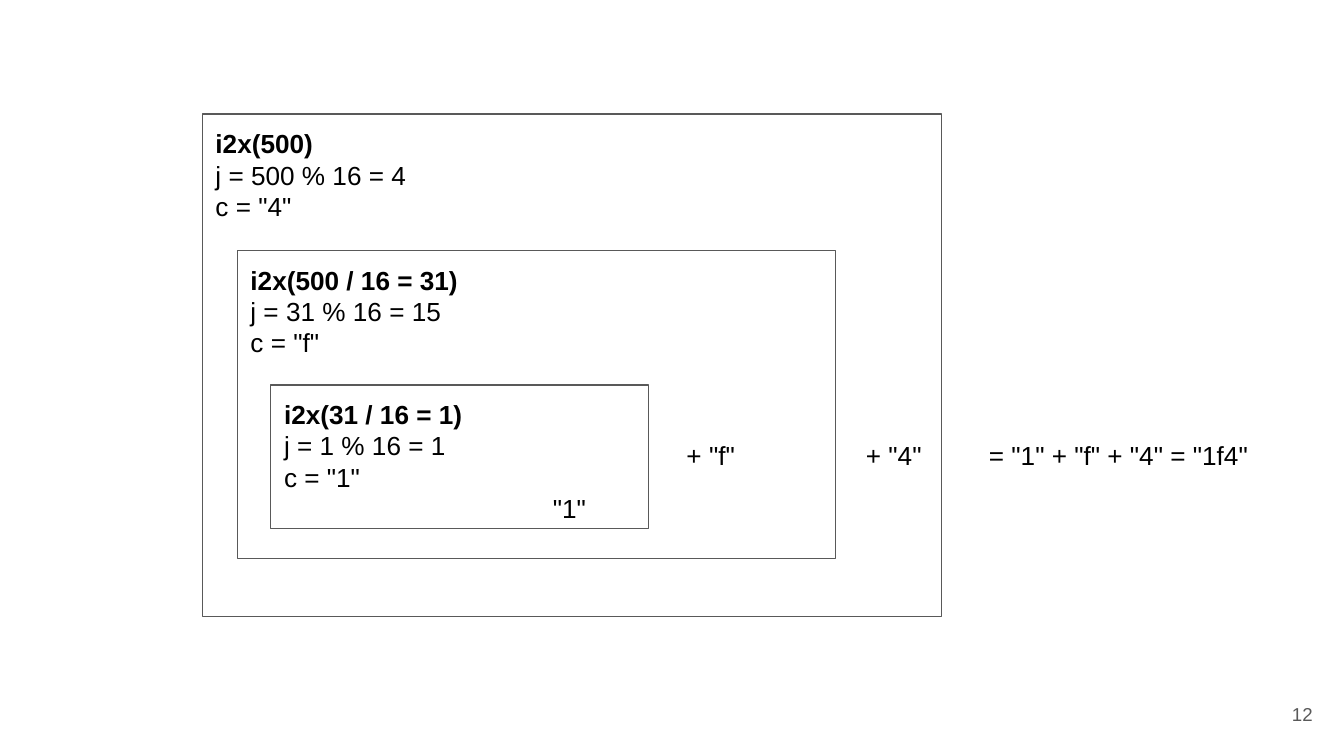
import dataclasses

import lxml.etree
import pptx
import pptx.dml.color
import pptx.enum.shapes
import pptx.enum.text
import pptx.oxml.ns
import pptx.util

PX = 4572  # EMU per px, 200 px to the inch
ALIGN = pptx.enum.text.PP_ALIGN
ANCHOR = pptx.enum.text.MSO_ANCHOR


@dataclasses.dataclass(frozen=True)
class Theme:
    font: str = "Arial"
    ink: str = "000000"
    grey: str = "595959"
    body_size: int = 14
    number_size: int = 10
    line_width: float = 0.75
    inset: int = 20
    tab_step: int = 200


THEME = Theme()

# Nested calls, outermost first: place and lines of each frame
CALLS = [
    ((301, 170, 1100, 748), ["i2x(500)", "j = 500 % 16 = 4", 'c = "4"']),
    ((353, 373, 890, 458), ["i2x(500 / 16 = 31)", "j = 31 % 16 = 15", 'c = "f"']),
    ((403, 573, 562, 214), ["i2x(31 / 16 = 1)", "j = 1 % 16 = 1", 'c = "1"', '\t\t"1"']),
]

# Returned pieces on one row: left, width, text
RESULT_TOP, RESULT_HEIGHT = 634, 88
RESULTS = [
    (1002, 134, '+ "f"'),
    (1269, 134, '+ "4"'),
    (1452, 432, '= "1" + "f" + "4" = "1f4"'),
]


def to_emu(place):
    return [pptx.util.Emu(length * PX) for length in place]


def rgb(value):
    return pptx.dml.color.RGBColor.from_string(value)


def add_tab_stops(para, count):
    """Set evenly spaced left tab stops."""
    qn = pptx.oxml.ns.qn
    properties = para._p.get_or_add_pPr()
    stops = lxml.etree.SubElement(properties, qn("a:tabLst"))
    for number in range(1, count + 1):
        position = str(number * THEME.tab_step * PX)
        lxml.etree.SubElement(stops, qn("a:tab"), pos=position, algn="l")


def write_text(box, lines, size=THEME.body_size, color=THEME.ink,
               align=ALIGN.LEFT, anchor=ANCHOR.TOP, bold_first=False):
    frame = box.text_frame
    frame.word_wrap = True
    frame.vertical_anchor = anchor
    inset = pptx.util.Emu(THEME.inset * PX)
    frame.margin_left = frame.margin_right = inset
    frame.margin_top = frame.margin_bottom = inset
    for index, line in enumerate(lines):
        para = frame.add_paragraph() if index else frame.paragraphs[0]
        para.alignment = align
        if "\t" in line:
            add_tab_stops(para, line.count("\t"))
        span = para.add_run()
        span.text = line
        span.font.name = THEME.font
        span.font.size = pptx.util.Pt(size)
        span.font.bold = bold_first and index == 0
        span.font.color.rgb = rgb(color)


def add_call_frame(page, place, lines):
    box = page.shapes.add_shape(
        pptx.enum.shapes.MSO_SHAPE.RECTANGLE, *to_emu(place))
    box.shadow.inherit = False
    box.fill.background()
    box.line.color.rgb = rgb(THEME.grey)
    box.line.width = pptx.util.Pt(THEME.line_width)
    write_text(box, lines, bold_first=True)


def add_label(page, place, text, **text_format):
    box = page.shapes.add_textbox(*to_emu(place))
    write_text(box, [text], **text_format)
    return box


def main():
    deck = pptx.Presentation()
    deck.slide_width, deck.slide_height = to_emu((2000, 1125))
    page = deck.slides.add_slide(deck.slide_layouts.get_by_name("Blank"))

    # Slide number
    add_label(page, (1853, 1020, 120, 86), "12", size=THEME.number_size,
              color=THEME.grey, align=ALIGN.RIGHT, anchor=ANCHOR.MIDDLE)

    # Recursive calls
    for place, lines in CALLS:
        add_call_frame(page, place, lines)

    # Joined results
    for left, width, text in RESULTS:
        label = add_label(page, (left, RESULT_TOP, width, RESULT_HEIGHT), text)
        label.text_frame.auto_size = pptx.enum.text.MSO_AUTO_SIZE.SHAPE_TO_FIT_TEXT

    deck.save("out.pptx")


if __name__ == "__main__":
    main()
